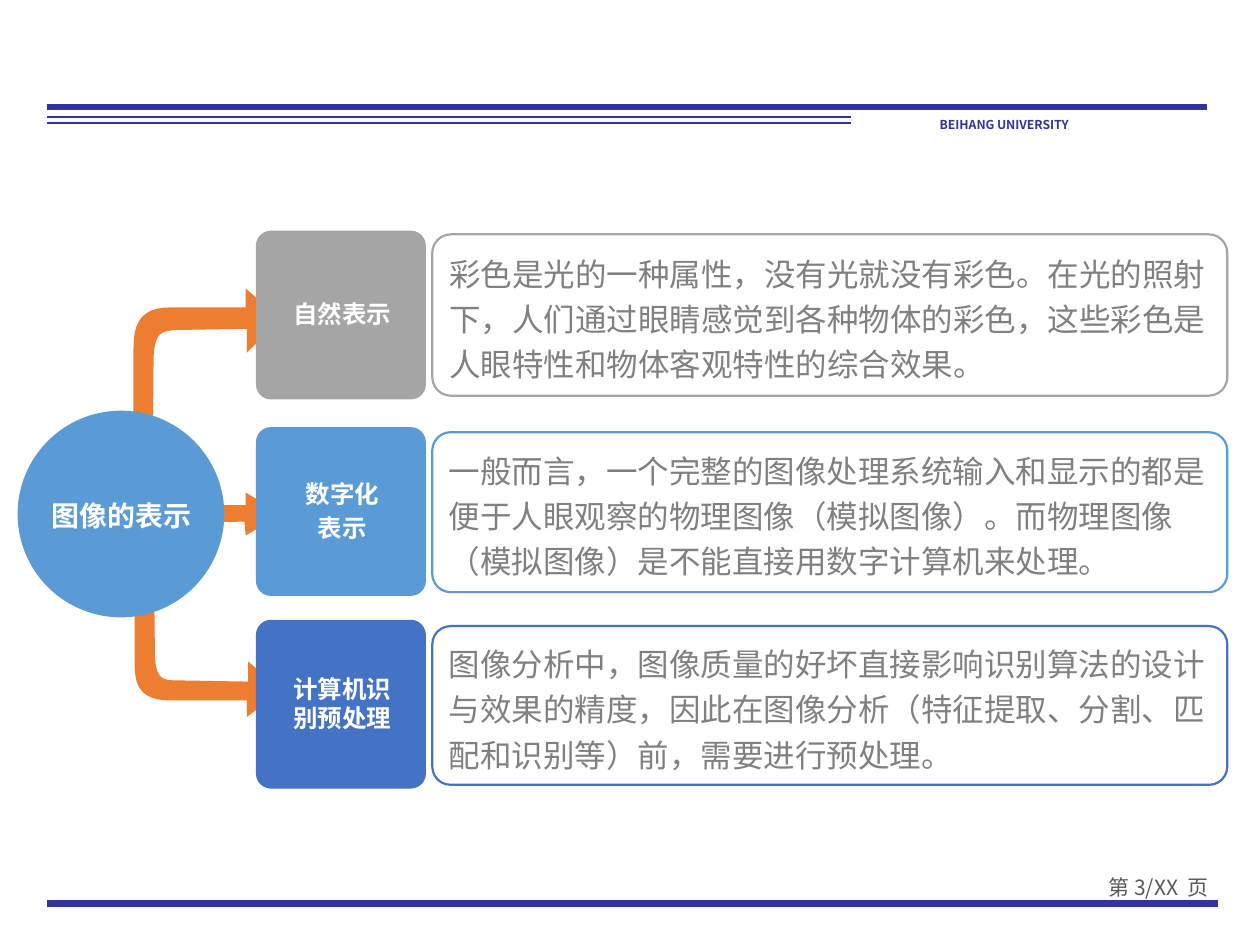
from dataclasses import dataclass
from typing import NamedTuple

from lxml import etree
from pptx import Presentation
from pptx.dml.color import RGBColor
from pptx.enum.shapes import MSO_CONNECTOR, MSO_SHAPE
from pptx.enum.text import MSO_ANCHOR, PP_ALIGN
from pptx.oxml.ns import qn
from pptx.util import Pt

STRAIGHT = MSO_CONNECTOR.STRAIGHT
OVAL, ROUNDED = MSO_SHAPE.OVAL, MSO_SHAPE.ROUNDED_RECTANGLE
TOP, MIDDLE = MSO_ANCHOR.TOP, MSO_ANCHOR.MIDDLE
LEFT, CENTER = PP_ALIGN.LEFT, PP_ALIGN.CENTER

NAVY = RGBColor(0x33, 0x33, 0x99)
ORANGE = RGBColor(0xED, 0x7D, 0x31)
GRAY = RGBColor(0xA5, 0xA5, 0xA5)
SKY = RGBColor(0x5B, 0x9B, 0xD5)
BLUE = RGBColor(0x44, 0x72, 0xC4)
BODY_GRAY = RGBColor(0x80, 0x80, 0x80)
PAGE_GRAY = RGBColor(0x59, 0x59, 0x59)
WHITE = RGBColor(0xFF, 0xFF, 0xFF)
FONT = "Noto Sans CJK SC"
CURVE_STEPS = 10


class Box(NamedTuple):
    left: float
    top: float
    width: float
    height: float

    def lengths(self):
        return [Pt(value) for value in self]


class Point(NamedTuple):
    x: float
    y: float


class Curve(NamedTuple):
    first: Point
    second: Point
    end: Point


@dataclass
class Style:
    size: float
    color: RGBColor
    bold: bool = False
    align: PP_ALIGN = LEFT
    line_spacing: float = 1.0
    space_before: float = 0


@dataclass
class Rule:
    start: Point
    end: Point
    width: float


@dataclass
class Topic:
    card_top: float
    panel_top: float
    panel_height: float
    color: RGBColor
    label: list[str]
    body: str


BODY = Style(18, BODY_GRAY, line_spacing=1.2)
LABEL = Style(14, WHITE, bold=True, align=CENTER, space_before=2.8)

RULES = [
    Rule(Point(26.6, 516.2), Point(696.2, 516.2), 3.75),
    Rule(Point(26.6, 61.2), Point(689.8, 61.2), 3),
    Rule(Point(26.6, 67), Point(486, 67), 1),
    Rule(Point(26.6, 70.2), Point(486, 70.2), 1),
]

ARROWS = [
    [Point(87.8, 306), Point(88.6, 375.8),
     Curve(Point(89.3, 388.1), Point(93.6, 388.8), Point(100.8, 388.8)),
     Point(141.8, 389.5), Point(141.8, 378), Point(161.3, 394.6),
     Point(141.1, 409.7), Point(141.1, 400.3), Point(97.9, 400.3),
     Curve(Point(82.1, 400.3), Point(77, 393.8), Point(77, 380.2)),
     Point(77, 304.6),
     Curve(Point(78.5, 292.3), Point(85.7, 293.8), Point(87.8, 306))],
    [Point(61.9, 299.5), Point(139.7, 298.1), Point(140.4, 306),
     Point(161.3, 293.8), Point(140.4, 281.5), Point(140.4, 288.7),
     Point(61.9, 288.7)],
    [Point(87.1, 284.4), Point(87.8, 203.8),
     Curve(Point(88.6, 189.4), Point(92.9, 189.4), Point(100.1, 188.6)),
     Point(141.1, 187.9), Point(141.1, 201.6), Point(160.6, 182.2),
     Point(140.4, 164.9), Point(140.4, 175.7), Point(97.2, 175.7),
     Curve(Point(82.1, 175.7), Point(76.3, 182.9), Point(76.3, 198.7)),
     Point(76.3, 285.8),
     Curve(Point(78.5, 300.2), Point(85, 298.8), Point(87.1, 284.4))],
]

TOPICS = [
    Topic(131.8, 133.9, 92.2, GRAY, ["自然表示"],
          "彩色是光的一种属性，没有光就没有彩色。在光的照射下，人们通过眼睛感觉到"
          "各种物体的彩色，这些彩色是人眼特性和物体客观特性的综合效果。"),
    Topic(244.1, 247, 91.4, SKY, ["数字化", "表示"],
          "一般而言，一个完整的图像处理系统输入和显示的都是便于人眼观察的物理图像"
          "（模拟图像）。而物理图像（模拟图像）是不能直接用数字计算机来处理。"),
    Topic(354.2, 357.8, 90.7, BLUE, ["计算机识别预处理"],
          "图像分析中，图像质量的好坏直接影响识别算法的设计与效果的精度，因此在"
          "图像分析（特征提取、分割、匹配和识别等）前，需要进行预处理。"),
]


def write_text(shape, lines: list[str], style: Style, anchor=TOP, wrap=True,
               side: float = 7.2, edge: float = 3.6) -> None:
    frame = shape.text_frame
    frame.word_wrap = wrap
    frame.vertical_anchor = anchor
    frame.margin_left = frame.margin_right = Pt(side)
    frame.margin_top = frame.margin_bottom = Pt(edge)
    for index, line in enumerate(lines):
        paragraph = frame.add_paragraph() if index else frame.paragraphs[0]
        paragraph.text = line
        paragraph.alignment = style.align
        paragraph.line_spacing = style.line_spacing
        if index:
            paragraph.space_before = Pt(style.space_before)
        paragraph.font.name = FONT
        paragraph.font.size = Pt(style.size)
        paragraph.font.bold = style.bold
        paragraph.font.color.rgb = style.color


def add_text(slide, box: Box, lines: list[str], style: Style, **layout) -> None:
    write_text(slide.shapes.add_textbox(*box.lengths()), lines, style, **layout)


def add_rule(slide, rule: Rule) -> None:
    line = slide.shapes.add_connector(
        STRAIGHT, *(Pt(value) for value in (*rule.start, *rule.end)))
    line.line.color.rgb = NAVY
    line.line.width = Pt(rule.width)
    etree.SubElement(line._element.spPr, qn("a:effectLst"))


def fill_plain(shape, color: RGBColor) -> None:
    shape.shadow.inherit = False
    shape.fill.solid()
    shape.fill.fore_color.rgb = color
    shape.line.fill.background()


def curve_points(start: Point, curve: Curve) -> list[Point]:
    points = []
    for step in range(1, CURVE_STEPS + 1):
        t = step / CURVE_STEPS
        weights = ((1 - t) ** 3, 3 * t * (1 - t) ** 2, 3 * t * t * (1 - t), t ** 3)
        controls = (start, *curve)
        points.append(Point(sum(w * c.x for w, c in zip(weights, controls)),
                            sum(w * c.y for w, c in zip(weights, controls))))
    return points


def add_arrow(slide, outline: list[Point | Curve]) -> None:
    points = [outline[0]]
    for part in outline[1:]:
        points += curve_points(points[-1], part) if isinstance(part, Curve) else [part]
    vertices = [(Pt(point.x), Pt(point.y)) for point in points]
    builder = slide.shapes.build_freeform(*vertices[0])
    builder.add_line_segments(vertices[1:], close=True)
    fill_plain(builder.convert_to_shape(), ORANGE)


def add_panel(slide, topic: Topic) -> None:
    box = Box(247, topic.panel_top, 454.3, topic.panel_height)
    panel = slide.shapes.add_shape(ROUNDED, *box.lengths())
    panel.adjustments[0] = 0.115
    panel.shadow.inherit = False
    panel.fill.background()
    panel.line.color.rgb = topic.color
    panel.line.width = Pt(1.25)
    write_text(panel, [topic.body], BODY, anchor=MIDDLE, side=6.5, edge=3)


def add_card(slide, topic: Topic) -> None:
    box = Box(146.2, topic.card_top, 97.2, 96.5)
    card = slide.shapes.add_shape(ROUNDED, *box.lengths())
    card.adjustments[0] = 0.09
    fill_plain(card, topic.color)
    add_text(slide, Box(156.4, topic.card_top + 38.9, 78.5, 17.3),
             topic.label, LABEL, anchor=MIDDLE)


def main() -> None:
    presentation = Presentation()
    presentation.slide_width, presentation.slide_height = Pt(720), Pt(540)
    slide = presentation.slides.add_slide(presentation.slide_layouts[6])
    for rule in RULES:
        add_rule(slide, rule)
    add_text(slide, Box(529.9, 63.4, 187.2, 18.7), ["BEIHANG UNIVERSITY"],
             Style(7, NAVY, bold=True), wrap=False)
    add_text(slide, Box(619.2, 496.8, 85.7, 28.8), ["第 3/XX  页"],
             Style(12, PAGE_GRAY, align=CENTER), side=5, edge=3)
    for outline in ARROWS:
        add_arrow(slide, outline)
    for topic in TOPICS:
        add_panel(slide, topic)
    hub = slide.shapes.add_shape(OVAL, *Box(10.1, 234.7, 118.1, 118.1).lengths())
    fill_plain(hub, SKY)
    add_text(slide, Box(20.9, 281.5, 97.2, 26.6), ["图像的表示"],
             Style(16, WHITE, bold=True, align=CENTER))
    for topic in TOPICS:
        add_card(slide, topic)
    presentation.save("out.pptx")


if __name__ == "__main__":
    main()
